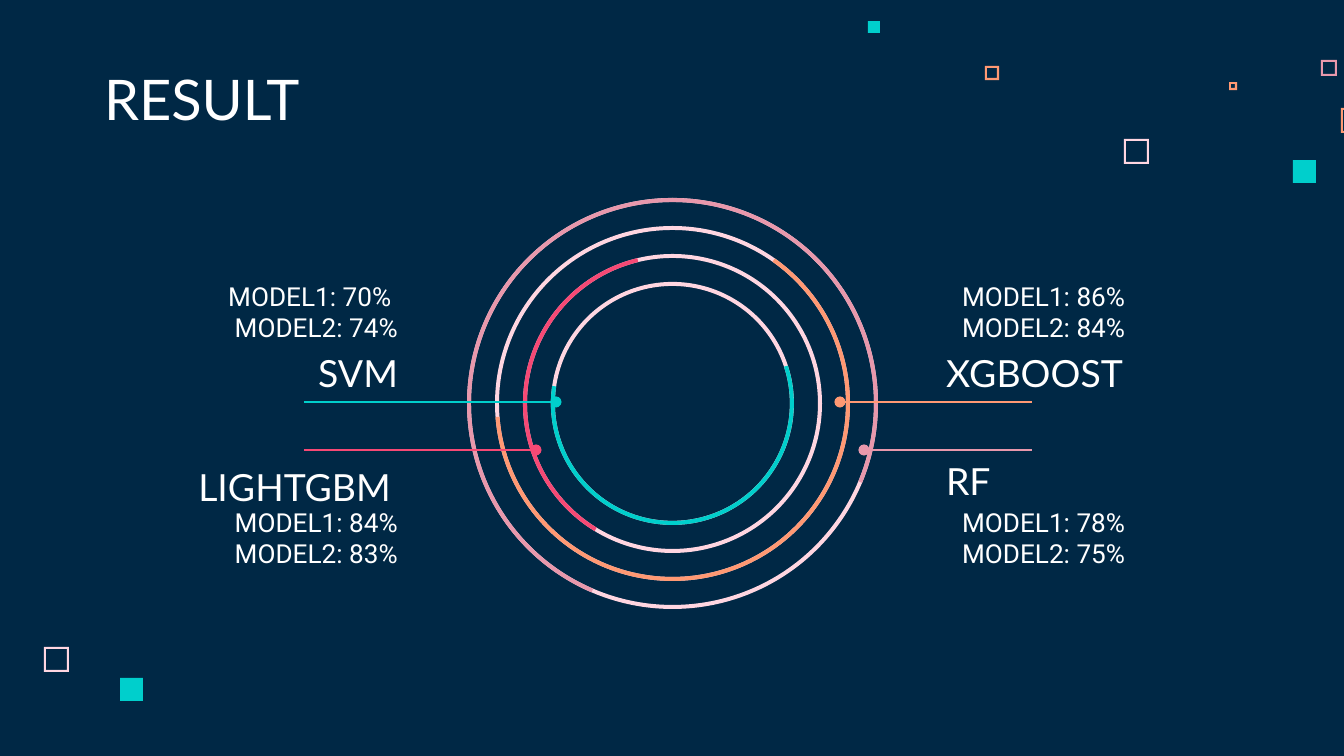
from lxml.etree import SubElement
from pptx import Presentation
from pptx.dml.color import RGBColor
from pptx.enum.shapes import MSO_CONNECTOR, MSO_SHAPE
from pptx.enum.text import MSO_ANCHOR as ANCHOR, PP_ALIGN as ALIGN
from pptx.oxml.ns import qn
from pptx.util import Pt

SCALE = 914400 / 134.4
NAVY = RGBColor(0x00, 0x28, 0x45)
WHITE = RGBColor(0xFF, 0xFF, 0xFF)
PALE = RGBColor(0xFF, 0xD6, 0xE1)
ROSE = RGBColor(0xE8, 0x98, 0xAC)
ORANGE = RGBColor(0xFF, 0x99, 0x73)
PINK = RGBColor(0xF6, 0x49, 0x75)
TEAL = RGBColor(0x00, 0xCF, 0xCC)

ADJUSTMENT_PER_DEGREE = 0.6
RING_STEP = 56
RING_THICKNESS = 4
FRAME_THICKNESS = 2


def px(value):
    return round(value * SCALE)


def add_text(slide, text, box, size=14, font="Lato", color=WHITE,
             align=ALIGN.LEFT, anchor=ANCHOR.TOP, indent=None):
    shape = slide.shapes.add_textbox(*map(px, box))
    frame = shape.text_frame
    frame.word_wrap = True
    frame.vertical_anchor = anchor
    frame.margin_left = frame.margin_right = px(13)
    frame.margin_top = frame.margin_bottom = px(13)
    frame.text = text
    for paragraph in frame.paragraphs:
        paragraph.alignment = align
        paragraph.font.size = Pt(size)
        paragraph.font.color.rgb = color
        for run in paragraph.runs:
            run.font.name = font
            run.font.size = Pt(size)
            run.font.color.rgb = color
        if indent:
            properties = paragraph._p.get_or_add_pPr()
            properties.set("marL", str(px(indent[0])))
            properties.set("indent", str(px(indent[1])))


def add_filled(slide, kind, box, color, adjustments=(), rotation=0):
    shape = slide.shapes.add_shape(kind, *map(px, box))
    shape.shadow.inherit = False
    shape.fill.solid()
    shape.fill.fore_color.rgb = color
    shape.line.fill.background()
    for index, value in enumerate(adjustments):
        shape.adjustments[index] = value
    shape.rotation = rotation


def add_pointer(slide, start, end, y, color):
    line = slide.shapes.add_connector(
        MSO_CONNECTOR.STRAIGHT, px(start), px(y), px(end), px(y))
    line.line.color.rgb = color
    line.line.width = Pt(1.5)
    SubElement(line.line._get_or_add_ln(), qn("a:tailEnd"), type="oval")
    SubElement(line._element.spPr, qn("a:effectLst"))


def add_confetti(slide, left, top, squares):
    for x, y, size, color, hollow in squares:
        kind = MSO_SHAPE.FRAME if hollow else MSO_SHAPE.RECTANGLE
        adjustments = [FRAME_THICKNESS / size] if hollow else []
        add_filled(slide, kind, (left + x, top + y, size, size), color,
                   adjustments)


def add_rings(slide, left, top, size, arcs):
    rings = []
    for index, arc in enumerate(arcs):
        inset = index * RING_STEP / 2
        diameter = size - index * RING_STEP
        box = (left + inset, top + inset, diameter, diameter)
        rings.append((box, RING_THICKNESS / diameter, arc))
    for box, thickness, arc in rings:
        add_filled(slide, MSO_SHAPE.DONUT, box, PALE, [thickness])
    for box, thickness, (color, start, end, rotation) in rings:
        angles = [angle * ADJUSTMENT_PER_DEGREE for angle in (start, end)]
        add_filled(slide, MSO_SHAPE.BLOCK_ARC, box, color,
                   angles + [thickness], rotation)


def add_callout(slide, left, top, title, scores, color, pointer_end,
                on_left, above, title_size=(277, 95)):
    align = ALIGN.RIGHT if on_left else ALIGN.LEFT
    title_top, scores_top, pointer_y = (76, 0, 141) if above else (0, 72, 29)
    title_anchor = ANCHOR.TOP if above else ANCHOR.BOTTOM
    scores_anchor = ANCHOR.BOTTOM if above else ANCHOR.TOP
    add_pointer(slide, left + (170 if on_left else 99), left + pointer_end,
                top + pointer_y, color)
    add_text(slide, title, (left, top + title_top, *title_size), size=20,
             align=align, anchor=title_anchor)
    add_text(slide, scores, (left, top + scores_top, 277, 95), font="Roboto",
             align=align, anchor=scores_anchor, indent=(67, -51))


def main():
    presentation = Presentation()
    presentation.slide_width, presentation.slide_height = px(1344), px(756)
    slide = presentation.slides.add_slide(presentation.slide_layouts[6])
    slide.background.fill.solid()
    slide.background.fill.fore_color.rgb = NAVY

    add_confetti(slide, 868, 21, [
        (256, 118, 25, PALE, True),
        (453, 39, 16, ROSE, True),
        (361, 61, 8, ORANGE, True),
        (473, 87, 25, ORANGE, True),
        (425, 139, 23, TEAL, False),
        (117, 45, 14, ORANGE, True),
        (0, 0, 12, TEAL, False),
    ])
    add_confetti(slide, 44, 647, [
        (0, 0, 25, PALE, True),
        (76, 31, 23, TEAL, False),
    ])
    add_text(slide, "RESULT", (91, 60, 695, 85), size=30,
             anchor=ANCHOR.BOTTOM)
    add_rings(slide, 467, 198, 411, [
        (ROSE, 263.2, 172.7, 210),
        (ORANGE, 305.2, 175.6, 0),
        (PINK, 40.2, 175.2, 81.2),
        (TEAL, 328.7, 175.2, 13.1),
    ])
    add_callout(slide, 134, 261, "SVM", "MODEL1: 70% \nMODEL2: 74%", TEAL,
                422, on_left=True, above=True)
    add_callout(slide, 134, 421, "LIGHTGBM", "MODEL1: 84%\nMODEL2: 83%", PINK,
                402, on_left=True, above=False, title_size=(270, 101))
    add_callout(slide, 933, 261, "XGBOOST", "MODEL1: 86%\nMODEL2: 84%", ORANGE,
                -93, on_left=False, above=True)
    add_callout(slide, 933, 421, "RF", "MODEL1: 78%\nMODEL2: 75%", ROSE,
                -69, on_left=False, above=False)
    presentation.save("out.pptx")


if __name__ == "__main__":
    main()
